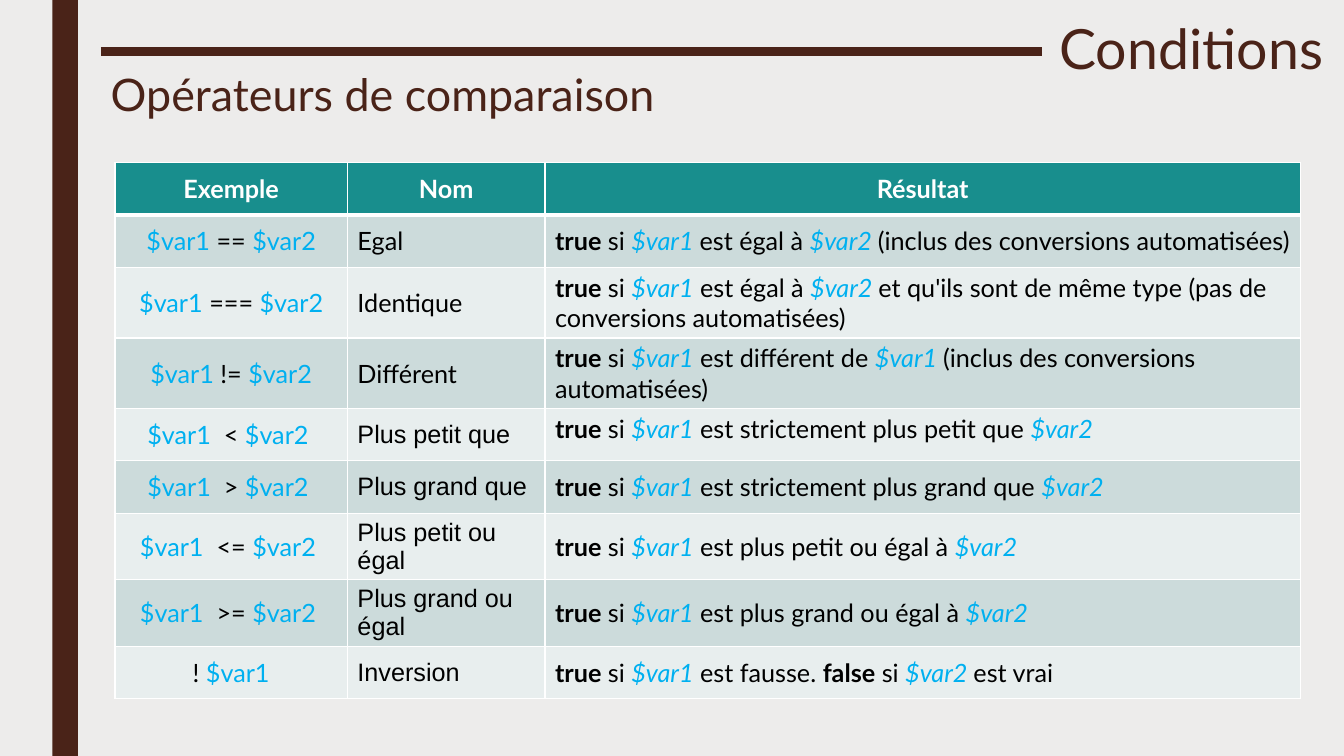
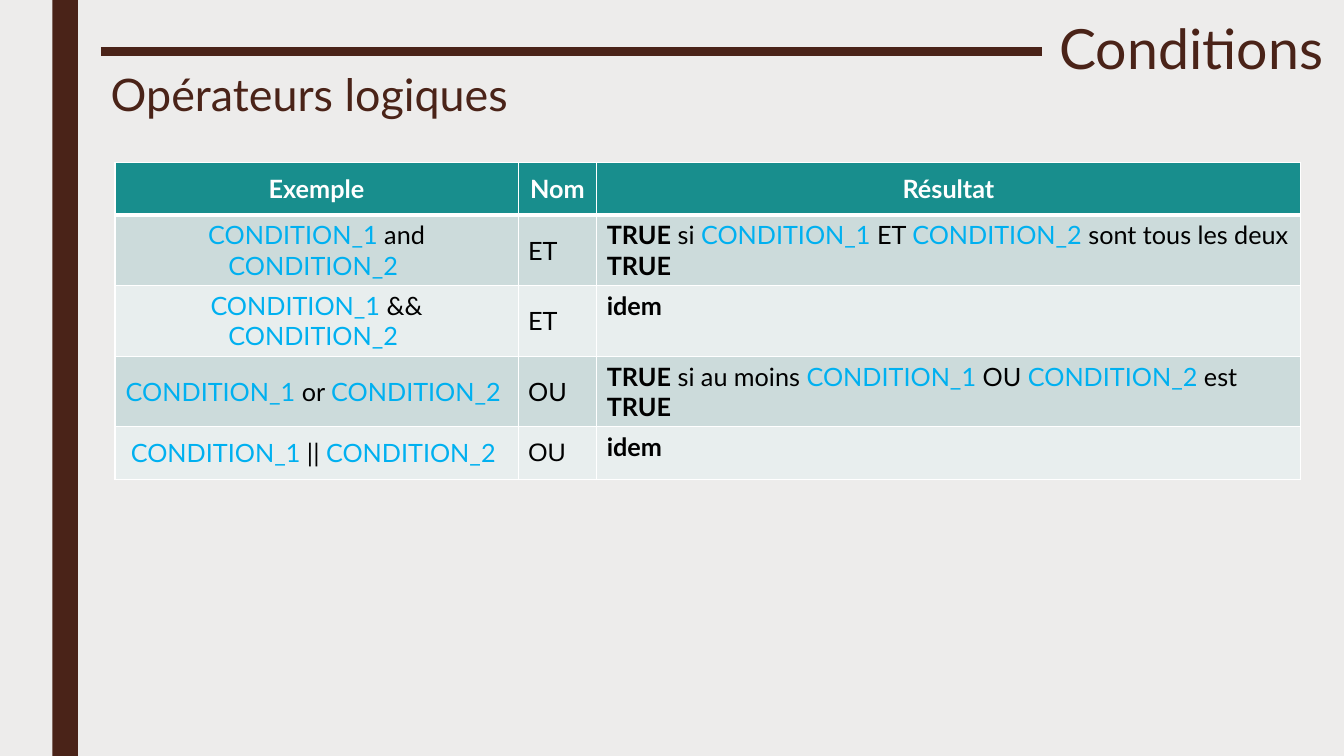
import pptx
import pptx.dml.color
import pptx.enum.shapes
import pptx.enum.text
import pptx.oxml
import pptx.oxml.ns
import pptx.util

RGBColor = pptx.dml.color.RGBColor
ALIGN = pptx.enum.text.PP_ALIGN
ANCHOR = pptx.enum.text.MSO_ANCHOR

BROWN = RGBColor(0x4A, 0x23, 0x18)
PAPER = RGBColor(0xED, 0xEC, 0xEB)
TEAL = RGBColor(0x18, 0x8E, 0x8D)
DARK_ROW = RGBColor(0xCC, 0xDB, 0xDB)
LIGHT_ROW = RGBColor(0xE8, 0xEE, 0xEE)
SKY = RGBColor(0x00, 0xB0, 0xF0)
WHITE = RGBColor(0xFF, 0xFF, 0xFF)
BLACK = RGBColor(0x00, 0x00, 0x00)

MAIN_FONT = "Lato"
ALTERNATE_FONT = "Arial"
ALTERNATE_FONT_FROM = 4
TOP_ANCHORED_ROWS = (2, 3, 4)
HEADINGS = ("Exemple", "Nom", "Résultat")
TITLE_ONLY = 5

SLIDE_WIDTH = pptx.util.Inches(13.33)
SLIDE_HEIGHT = pptx.util.Inches(7.5)
TABLE_LEFT, TABLE_TOP, ROW_HEIGHT = 8.55, 21.5, 6.93
RULE_LEFT, RULE_RIGHT = 7.5, 77.5


def across(percent):
    return round(SLIDE_WIDTH * percent / 100)


def down(percent):
    return round(SLIDE_HEIGHT * percent / 100)


def box(left, top, width, height):
    return across(left), down(top), across(width), down(height)


def plain(text):
    return text, {}


def bold(text):
    return text, {"bold": True}


def operand(text):
    return text, {"color": SKY}


def variable(text):
    return text, {"color": SKY, "italic": True}


def true_if(tested, relation, other, ending=""):
    runs = [bold("true"), plain(" si "), variable(tested), plain(relation), variable(other)]
    return runs + ([plain(ending)] if ending else [])


def expression(left, operator, right):
    return [operand(left), plain(operator), operand(right)]


COMPARISONS = [
    (expression("$var1 ", "== ", "$var2"), "Egal",
     true_if("$var1 ", "est égal à ", "$var2 ", "(inclus des conversions automatisées)")),
    (expression("$var1 ", "=== ", "$var2"), "Identique",
     true_if("$var1", " est égal à ", "$var2 ",
             "et qu'ils sont de même type (pas de conversions automatisées)")),
    (expression("$var1 ", "!= ", "$var2"), "Différent",
     true_if("$var1", " est différent de ", "$var1 ", "(inclus des conversions automatisées)")),
    (expression("$var1 ", " < ", "$var2 "), "Plus petit que",
     true_if("$var1", " est strictement plus petit que ", "$var2")),
    (expression("$var1 ", " > ", "$var2 "), "Plus grand que",
     true_if("$var1", " est strictement plus grand que ", "$var2")),
    (expression("$var1 ", " <= ", "$var2 "), "Plus petit ou égal",
     true_if("$var1", " est plus petit ou égal à ", "$var2")),
    (expression("$var1 ", " >= ", "$var2 "), "Plus grand ou égal",
     true_if("$var1", " est plus grand ou égal à ", "$var2")),
    ([plain("! "), operand("$var1")], "Inversion",
     [bold("true"), plain(" si "), variable("$var1"), plain(" est fausse. "),
      bold("false"), plain(" si "), variable("$var2 "), plain("est vrai")]),
]


def conditions(operator):
    return expression("CONDITION_1 ", operator, "CONDITION_2 ")


def true_when(opening, operator, ending):
    return [bold("TRUE"), plain(opening), operand("CONDITION_1 "), plain(operator),
            operand("CONDITION_2"), plain(ending), bold("TRUE")]


LOGIC = [
    (conditions("and "), "ET", true_when(" si ", "ET ", " sont tous les deux ")),
    (conditions("&& "), "ET", [bold("idem")]),
    (conditions("or "), "OU", true_when(" si au moins ", "OU ", " est ")),
    (conditions("|| "), "OU", [bold("idem")]),
]


def add_run(paragraph, text, size, color=BLACK, bold=False, italic=False, font=MAIN_FONT):
    run = paragraph.add_run()
    run.text = text
    run.font.name = font
    run.font.size = pptx.util.Pt(size)
    run.font.color.rgb = color
    run.font.bold = bold
    run.font.italic = italic


def write_heading(shape, place, text, size, align, spacing):
    shape.left, shape.top, shape.width, shape.height = place
    frame = shape.text_frame
    frame.word_wrap = True
    frame.auto_size = pptx.enum.text.MSO_AUTO_SIZE.NONE
    frame.vertical_anchor = ANCHOR.MIDDLE
    paragraph = frame.paragraphs[0]
    paragraph.alignment = align
    paragraph.line_spacing = spacing
    add_run(paragraph, text, size, BROWN)


def add_rule(slide):
    rule = slide.shapes.add_connector(
        pptx.enum.shapes.MSO_CONNECTOR.STRAIGHT,
        across(RULE_LEFT), down(6.8), across(RULE_RIGHT), down(6.8))
    rule.line.color.rgb = BROWN
    rule.line.width = pptx.util.Pt(6)
    properties = rule.element.find(pptx.oxml.ns.qn("p:spPr"))
    properties.append(pptx.oxml.parse_xml(
        f'<a:effectLst {pptx.oxml.ns.nsdecls("a")}/>'))


def add_borders(cell, top, bottom):
    properties = cell._tc.get_or_add_tcPr()
    for side, points in (("L", 1), ("R", 1), ("T", top), ("B", bottom)):
        properties.append(pptx.oxml.parse_xml(
            f'<a:ln{side} {pptx.oxml.ns.nsdecls("a")} w="{pptx.util.Pt(points)}">'
            f'<a:solidFill><a:srgbClr val="{WHITE}"/></a:solidFill></a:ln{side}>'))


def fill_cell(cell, runs, color, align, anchor, top=1, bottom=1):
    add_borders(cell, top, bottom)
    cell.fill.solid()
    cell.fill.fore_color.rgb = color
    cell.vertical_anchor = anchor
    paragraph = cell.text_frame.paragraphs[0]
    paragraph.alignment = align
    for text, style in runs:
        add_run(paragraph, text, 18, **style)


def add_operator_table(slide, widths, operators):
    count = len(operators) + 1
    table = slide.shapes.add_table(
        count, len(widths),
        *box(TABLE_LEFT, TABLE_TOP, sum(widths), count * ROW_HEIGHT)).table
    for column, width in zip(table.columns, widths):
        column.width = across(width)
    for row in table.rows:
        row.height = down(ROW_HEIGHT)
    for column, heading in enumerate(HEADINGS):
        fill_cell(table.cell(0, column), [(heading, {"color": WHITE, "bold": True})],
                  TEAL, ALIGN.CENTER, ANCHOR.MIDDLE, bottom=3)
    for row, (example, name, result) in enumerate(operators, 1):
        color = DARK_ROW if row % 2 else LIGHT_ROW
        top = 3 if row == 1 else 1
        name_font = ALTERNATE_FONT if row >= ALTERNATE_FONT_FROM else MAIN_FONT
        result_anchor = ANCHOR.TOP if row in TOP_ANCHORED_ROWS else ANCHOR.MIDDLE
        fill_cell(table.cell(row, 0), example, color, ALIGN.CENTER, ANCHOR.MIDDLE, top)
        fill_cell(table.cell(row, 1), [(name, {"font": name_font})],
                  color, ALIGN.LEFT, ANCHOR.MIDDLE, top)
        fill_cell(table.cell(row, 2), result, color, ALIGN.LEFT, result_anchor, top)


def add_operator_slide(deck, subject, widths, operators):
    slide = deck.slides.add_slide(deck.slide_layouts[TITLE_ONLY])
    write_heading(slide.shapes.title, box(RULE_RIGHT, 1.6, 21.7, 10.5),
                  "Conditions", 39.6, ALIGN.RIGHT, 0.89)
    add_rule(slide)
    subject_place = box(RULE_LEFT, 9.3, 59.2, 7.6)
    write_heading(slide.shapes.add_textbox(*subject_place), subject_place,
                  subject, 32, ALIGN.LEFT, 0.79)
    add_operator_table(slide, widths, operators)
    return slide


def dress_master(deck, slide):
    master = deck.slide_master
    master.background.fill.solid()
    master.background.fill.fore_color.rgb = PAPER
    band = slide.shapes.add_shape(
        pptx.enum.shapes.MSO_SHAPE.RECTANGLE, *box(3.9, 0, 1.9, 100))
    band.shadow.inherit = False
    band.fill.solid()
    band.fill.fore_color.rgb = BROWN
    band.line.fill.background()
    master.shapes.element.append(band.element)


def main():
    deck = pptx.Presentation()
    deck.slide_width, deck.slide_height = SLIDE_WIDTH, SLIDE_HEIGHT
    comparison = add_operator_slide(
        deck, "Opérateurs de comparaison", (17.3, 14.7, 56.2), COMPARISONS)
    add_operator_slide(deck, "Opérateurs logiques", (30, 5.85, 52.35), LOGIC)
    dress_master(deck, comparison)
    deck.save("out.pptx")


if __name__ == "__main__":
    main()
